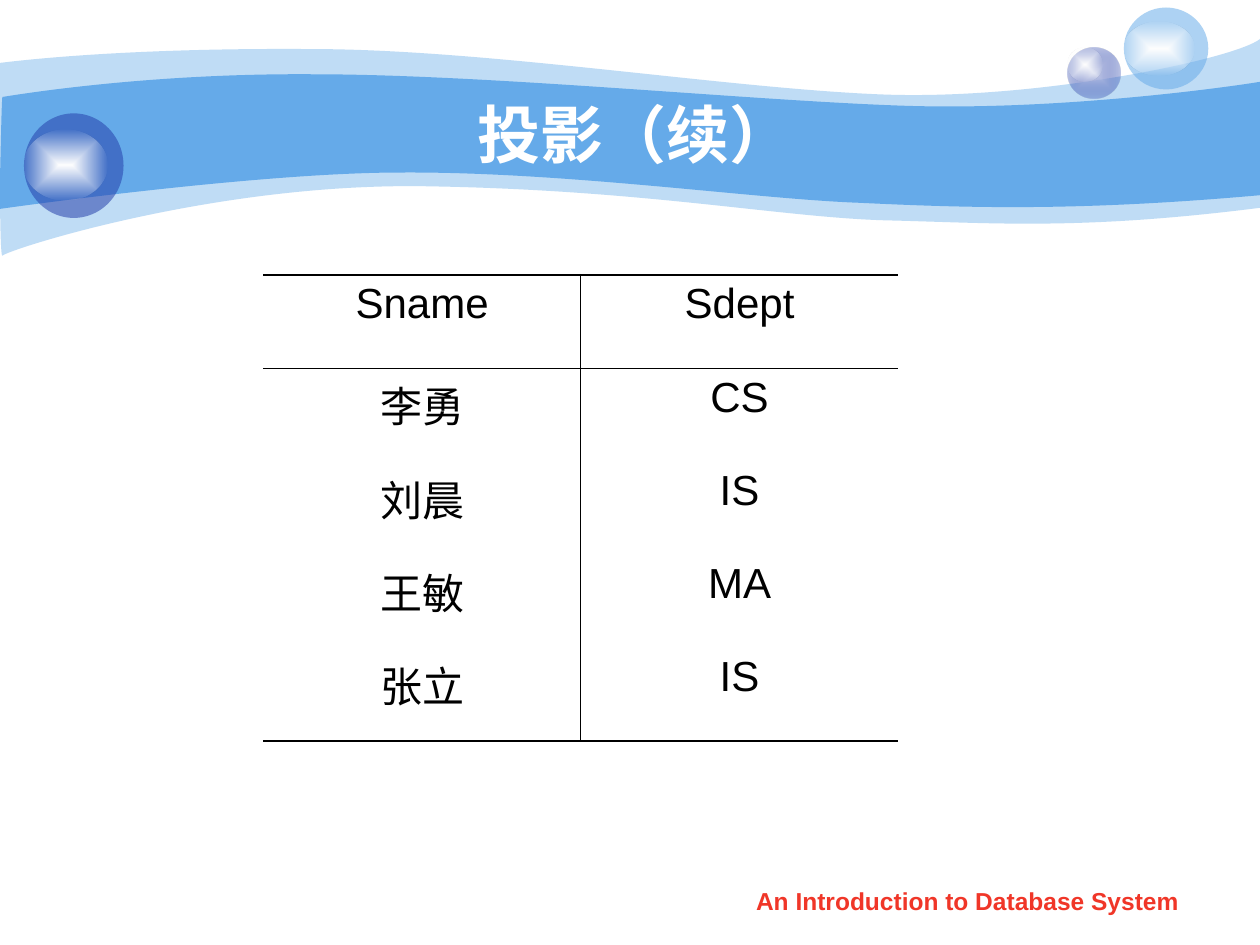
from lxml import etree
from pptx import Presentation
from pptx.dml.color import RGBColor
from pptx.enum.shapes import MSO_SHAPE
from pptx.enum.text import MSO_ANCHOR, PP_ALIGN
from pptx.oxml.ns import qn
from pptx.util import Inches, Pt

OVAL = MSO_SHAPE.OVAL
CENTER = PP_ALIGN.CENTER
MIDDLE = MSO_ANCHOR.MIDDLE
SKY, NAVY, WHITE, BLACK, RED = "65AAE9", "233DA9", "FFFFFF", "000000", "F03628"
GLOW = [(WHITE, 100), (WHITE, 0)]
NO_STYLE = "{2D5ABB26-0587-4C30-8999-92F81FD0307C}"


def paint(shape, stops):
    """Fill with one (colour, opacity %) or a gradient from the centre outwards."""
    shape.shadow.inherit = False
    shape.line.fill.background()
    fill = shape.fill
    if len(stops) == 1:
        fill.solid()
        fill.fore_color.rgb = RGBColor.from_string(stops[0][0])
    else:
        fill.gradient()
        for stop, (color, _) in zip(fill.gradient_stops, stops):
            stop.color.rgb = RGBColor.from_string(color)
        lin = shape.element.spPr.find(".//" + qn("a:lin"))
        mid = etree.Element(qn("a:path"), path="rect")
        etree.SubElement(mid, qn("a:fillToRect"), l="50000", t="50000", r="50000", b="50000")
        lin.getparent().replace(lin, mid)
    for clr, (_, alpha) in zip(shape.element.spPr.iter(qn("a:srgbClr")), stops):
        if alpha < 100:
            etree.SubElement(clr, qn("a:alpha"), val=str(alpha * 1000))


def write(frame, text, size, color, bold=False):
    frame.text = text
    para = frame.paragraphs[0]
    para.alignment = CENTER
    font = para.font
    font.name, font.size, font.bold = "Arial", Pt(size), bold
    font.color.rgb = RGBColor.from_string(color)
    return para


prs = Presentation()
prs.slide_width, prs.slide_height = Inches(10), Inches(7.5)
slide = prs.slides.add_slide(prs.slide_layouts[5])
shapes = slide.shapes

# Waves: a start point, then cubic curves (two handles and an end) or straight points
waves = [
    (41, (0, 0.5), [
        (0.24, 0.47, 1.08, 0.38, 2.47, 0.39), (3.86, 0.39, 5.75, 0.7, 6.99, 0.75),
        (8.22, 0.8, 9.8, 0.47, 10, 0.31), (10, 1.65),
        (8.58, 1.83, 7.88, 1.77, 7.05, 1.75), (6.22, 1.73, 5.15, 1.51, 3.43, 1.48),
        (1.72, 1.44, 0.04, 1.99, 0.02, 2.03), (-0.01, 2.08, 0, 0.75, 0, 0.5)]),
    (100, (0.02, 0.77), [
        (0.03, 0.77, 1.1, 0.58, 2.48, 0.59), (3.87, 0.59, 5.96, 0.8, 7.18, 0.84),
        (8.41, 0.88, 9.76, 0.69, 10, 0.65), (10, 1.55),
        (8.53, 1.68, 7.66, 1.65, 6.82, 1.61), (5.99, 1.58, 4.47, 1.36, 3.17, 1.37),
        (2.03, 1.37, -0.02, 1.66, -0.01, 1.66), (0, 1.66, 0.01, 0.77, 0.02, 0.77)]),
]
for alpha, start, parts in waves:
    pen = shapes.build_freeform(*map(Inches, start))
    for part in parts:
        spots = [Inches(n) for n in part]
        pen.add_line_segments(list(zip(spots[::2], spots[1::2])), close=False)
    wave = pen.convert_to_shape()
    track = wave.element.spPr.find(".//" + qn("a:path"))
    legs = iter(track.findall(qn("a:lnTo")))
    for part in parts:
        leg = next(legs)
        if len(part) == 6:
            leg.addprevious(curve := etree.Element(qn("a:cubicBezTo")))
            for bit in (leg, next(legs), next(legs)):
                curve.append(bit[0])
                track.remove(bit)
    etree.SubElement(track, qn("a:close"))
    paint(wave, [(SKY, alpha)])

# Bubbles, each grouped with its soft highlight
balls = [
    ((8.47, 0.38, 0.42, 0.4), [("C7CEE9", 100), (NAVY, 31)], (8.47, 0.38, 0.28, 0.27)),
    ((8.92, 0.06, 0.67, 0.65), [(SKY, 53)], (8.92, 0.17, 0.56, 0.43)),
    ((0.19, 0.9, 0.79, 0.83), [(NAVY, 53)], (0.19, 1.03, 0.66, 0.56)),
]
for ball, stops, shine in balls:
    group = shapes.add_group_shape()
    for box, tint in ((ball, stops), (shine, GLOW)):
        paint(group.shapes.add_shape(OVAL, *map(Inches, box)), tint)

foot = shapes.add_textbox(Inches(5.71), Inches(6.98), Inches(3.94), Inches(0.35)).text_frame
foot.word_wrap = True
write(foot, "An Introduction to Database System", 14, RED, True)

title = shapes.title
title.left, title.top, title.width, title.height = map(Inches, (1, 0.75, 8.08, 0.62))
title.text_frame.vertical_anchor = MIDDLE
write(title.text_frame, "投影（续）", 36, WHITE, True)
shapes.element.append(title.element)  # in front of the waves

# Table ruled above and below, under the head and between the columns
rows = [("Sname", "Sdept"), ("李勇", "CS"), ("刘晨", "IS"), ("王敏", "MA"), ("张立", "IS")]
last = len(rows) - 1
THIN, THICK = 0.45, 1.08
table = shapes.add_table(len(rows), 2, Inches(2.09), Inches(2.18), Inches(5.04), Inches(3.7)).table
table.first_row = table.horz_banding = False
table._tbl.tblPr.find(qn("a:tableStyleId")).text = NO_STYLE
for r, row in enumerate(rows):
    for c, text in enumerate(row):
        cell = table.cell(r, c)
        write(cell.text_frame, text, 24, BLACK).space_before = Pt(6)
        edges = {
            "lnL": THIN if c == 1 else 0,
            "lnR": THIN if c == 0 else 0,
            "lnT": {0: THICK, 1: THIN}.get(r, 0),
            "lnB": {0: THIN, last: THICK}.get(r, 0),
        }
        props = cell._tc.get_or_add_tcPr()
        for tag, width in edges.items():
            line = etree.SubElement(props, qn("a:" + tag), w=str(Pt(width)))
            if width:
                ink = etree.SubElement(line, qn("a:solidFill"))
                etree.SubElement(ink, qn("a:srgbClr"), val=BLACK)
            else:
                etree.SubElement(line, qn("a:noFill"))
        cell.fill.background()

prs.save("out.pptx")
